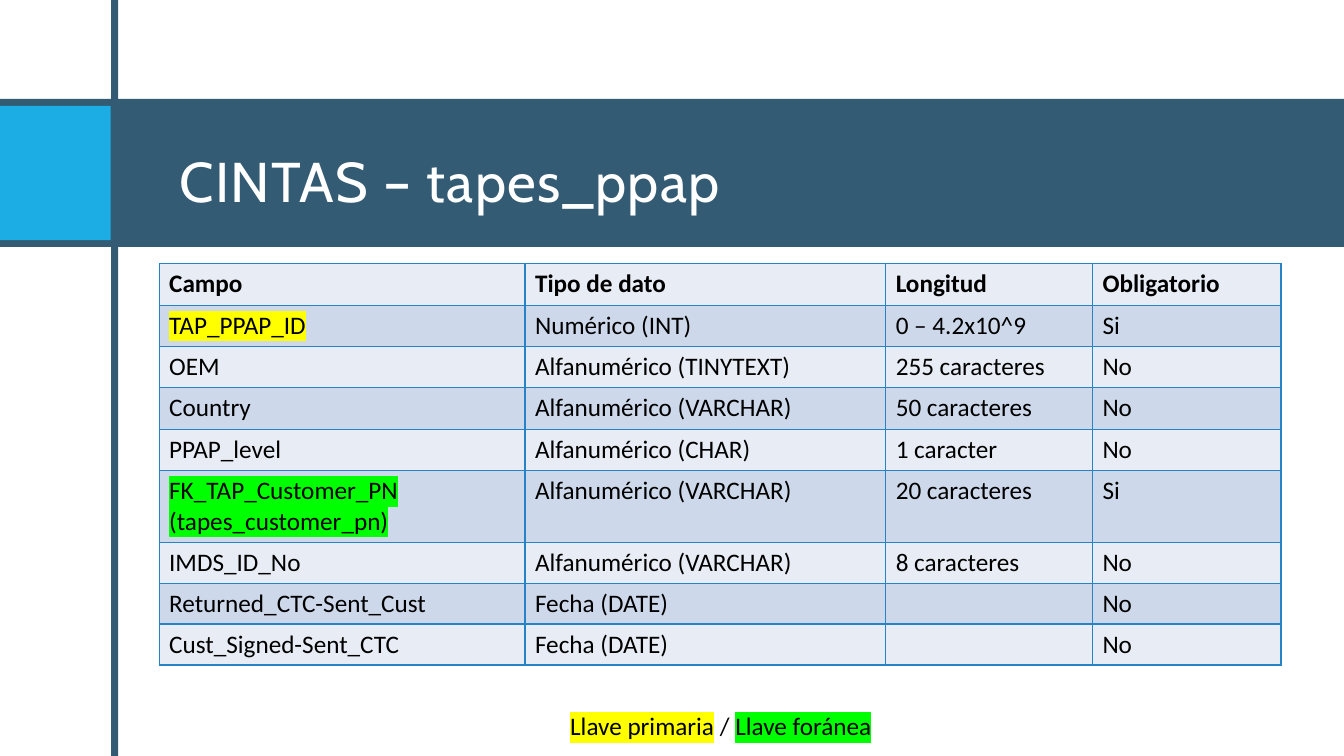
from dataclasses import dataclass

from lxml.etree import SubElement
from pptx import Presentation
from pptx.dml.color import RGBColor
from pptx.enum.shapes import MSO_SHAPE
from pptx.enum.text import MSO_ANCHOR, PP_ALIGN
from pptx.oxml import parse_xml
from pptx.oxml.ns import nsdecls, qn
from pptx.shapes.autoshape import Shape
from pptx.slide import Slide
from pptx.table import _Cell
from pptx.text.text import _Paragraph
from pptx.util import Cm, Pt

WHITE = RGBColor(0xFF, 0xFF, 0xFF)
BLACK = RGBColor(0x00, 0x00, 0x00)
SLATE = RGBColor(0x33, 0x5B, 0x74)
CYAN = RGBColor(0x1C, 0xAD, 0xE4)
GRID = RGBColor(0x26, 0x83, 0xC6)
PALE = RGBColor(0xE8, 0xED, 0xF5)
TINT = RGBColor(0xCD, 0xD9, 0xEA)
PRIMARY_KEY = RGBColor(0xFF, 0xFF, 0x00)
FOREIGN_KEY = RGBColor(0x00, 0xFF, 0x00)

SLIDE_WIDTH, SLIDE_HEIGHT = 33.87, 19.05
COLUMN_WIDTHS = (9.22, 9.09, 5.21, 4.75)


@dataclass(frozen=True)
class Band:
    """A plain coloured rectangle, in centimetres."""
    left: float
    top: float
    width: float
    height: float
    color: RGBColor


@dataclass(frozen=True)
class Field:
    """One row of the field table."""
    name: str
    kind: str
    length: str
    required: str
    key: RGBColor | None = None
    height: float = 1.03


BANDS = (
    Band(0, 2.49, SLIDE_WIDTH, 3.73, SLATE),
    Band(0, 2.67, 2.79, 3.38, CYAN),
    Band(2.8, 0, 0.18, SLIDE_HEIGHT, SLATE),
)

FIELDS = (
    Field("Campo", "Tipo de dato", "Longitud", "Obligatorio", height=1.06),
    Field("TAP_PPAP_ID", "Numérico (INT)", "0 – 4.2x10^9", "Si", PRIMARY_KEY),
    Field("OEM", "Alfanumérico (TINYTEXT)", "255 caracteres", "No"),
    Field("Country", "Alfanumérico (VARCHAR)", "50 caracteres", "No", height=1.07),
    Field("PPAP_level", "Alfanumérico (CHAR)", "1 caracter", "No"),
    Field("FK_TAP_Customer_PN\n(tapes_customer_pn)", "Alfanumérico (VARCHAR)",
          "20 caracteres", "Si", FOREIGN_KEY, 1.8),
    Field("IMDS_ID_No", "Alfanumérico (VARCHAR)", "8 caracteres", "No"),
    Field("Returned_CTC-Sent_Cust", "Fecha (DATE)", "", "No"),
    Field("Cust_Signed-Sent_CTC", "Fecha (DATE)", "", "No"),
)


def add_band(page: Slide, band: Band) -> Shape:
    """Draw one rectangle without outline."""
    shape = page.shapes.add_shape(MSO_SHAPE.RECTANGLE, Cm(band.left), Cm(band.top),
                                  Cm(band.width), Cm(band.height))
    shape.shadow.inherit = False
    shape.fill.solid()
    shape.fill.fore_color.rgb = band.color
    shape.line.fill.background()
    return shape


def style_paragraph(para: _Paragraph, size: float, name: str, color: RGBColor,
                    bold: bool = False) -> None:
    """Set the font shared by every run of a paragraph."""
    para.font.size = Pt(size)
    para.font.name = name
    para.font.bold = bold
    para.font.color.rgb = color


def add_span(para: _Paragraph, text: str, highlight: RGBColor | None = None) -> None:
    """Append a run, with a marker colour behind it if one is given."""
    span = para.add_run()
    span.text = text
    if highlight is not None:
        marker = SubElement(span._r.get_or_add_rPr(), qn("a:highlight"))
        SubElement(marker, qn("a:srgbClr")).set("val", str(highlight))


def add_borders(cell: _Cell) -> None:
    """Rule all four sides of a cell."""
    properties = cell._tc.get_or_add_tcPr()
    for position, side in enumerate(("lnL", "lnR", "lnT", "lnB")):
        properties.insert(position, parse_xml(
            f'<a:{side} {nsdecls("a")} w="{Pt(1)}"><a:solidFill>'
            f'<a:srgbClr val="{GRID}"/></a:solidFill></a:{side}>'))


def fill_cell(cell: _Cell, text: str, fill: RGBColor, bold: bool,
              highlight: RGBColor | None) -> None:
    """Write and colour one table cell."""
    cell.fill.solid()
    cell.fill.fore_color.rgb = fill
    add_borders(cell)
    frame = cell.text_frame
    for index, line in enumerate(text.split("\n")):
        para = frame.add_paragraph() if index else frame.paragraphs[0]
        if line:
            add_span(para, line, highlight)
        style_paragraph(para, 18, "Calibri", BLACK, bold)


def add_field_table(page: Slide) -> None:
    """Draw the table of fields with alternating row fills."""
    frame = page.shapes.add_table(len(FIELDS), len(COLUMN_WIDTHS), Cm(4.01), Cm(6.64),
                                  Cm(sum(COLUMN_WIDTHS)),
                                  Cm(sum(field.height for field in FIELDS)))
    table = frame.table
    table.first_row = False
    table.horz_banding = False
    for column, width in zip(table.columns, COLUMN_WIDTHS):
        column.width = Cm(width)
    for index, (row, field) in enumerate(zip(table.rows, FIELDS)):
        row.height = Cm(field.height)
        texts = (field.name, field.kind, field.length, field.required)
        for place, (cell, text) in enumerate(zip(row.cells, texts)):
            fill_cell(cell, text, TINT if index % 2 else PALE, index == 0,
                      None if place else field.key)


def format_title(page: Slide, backdrop: Shape) -> None:
    """Place the title in front of the bands."""
    title = page.shapes.title
    backdrop.element.addnext(title.element)
    title.left, title.top, title.width, title.height = Cm(4.27), Cm(2.67), Cm(27.81), Cm(3.38)
    frame = title.text_frame
    frame.vertical_anchor = MSO_ANCHOR.MIDDLE
    frame.margin_top, frame.margin_bottom = Cm(0.51), Cm(0.13)
    para = frame.paragraphs[0]
    add_span(para, "CINTAS – tapes_ppap")
    para.runs[0]._r.get_or_add_rPr().set("spc", "100")
    para.alignment = PP_ALIGN.LEFT
    style_paragraph(para, 40, "Cabin", WHITE)


def add_key_legend(page: Slide) -> None:
    """Explain the two marker colours."""
    box = page.shapes.add_textbox(Cm(9.3), Cm(17.78), Cm(17.73), Cm(1.03))
    box.text_frame.word_wrap = True
    para = box.text_frame.paragraphs[0]
    para.alignment = PP_ALIGN.CENTER
    add_span(para, "Llave primaria", PRIMARY_KEY)
    add_span(para, " / ")
    add_span(para, "Llave foránea", FOREIGN_KEY)
    style_paragraph(para, 18, "Calibri", BLACK)


def main() -> None:
    """Build and save the deck."""
    deck = Presentation()
    deck.slide_width, deck.slide_height = Cm(SLIDE_WIDTH), Cm(SLIDE_HEIGHT)
    page = deck.slides.add_slide(deck.slide_layouts[5])
    bands = [add_band(page, band) for band in BANDS]
    format_title(page, bands[-1])
    add_field_table(page)
    add_key_legend(page)
    deck.save("out.pptx")


if __name__ == "__main__":
    main()
